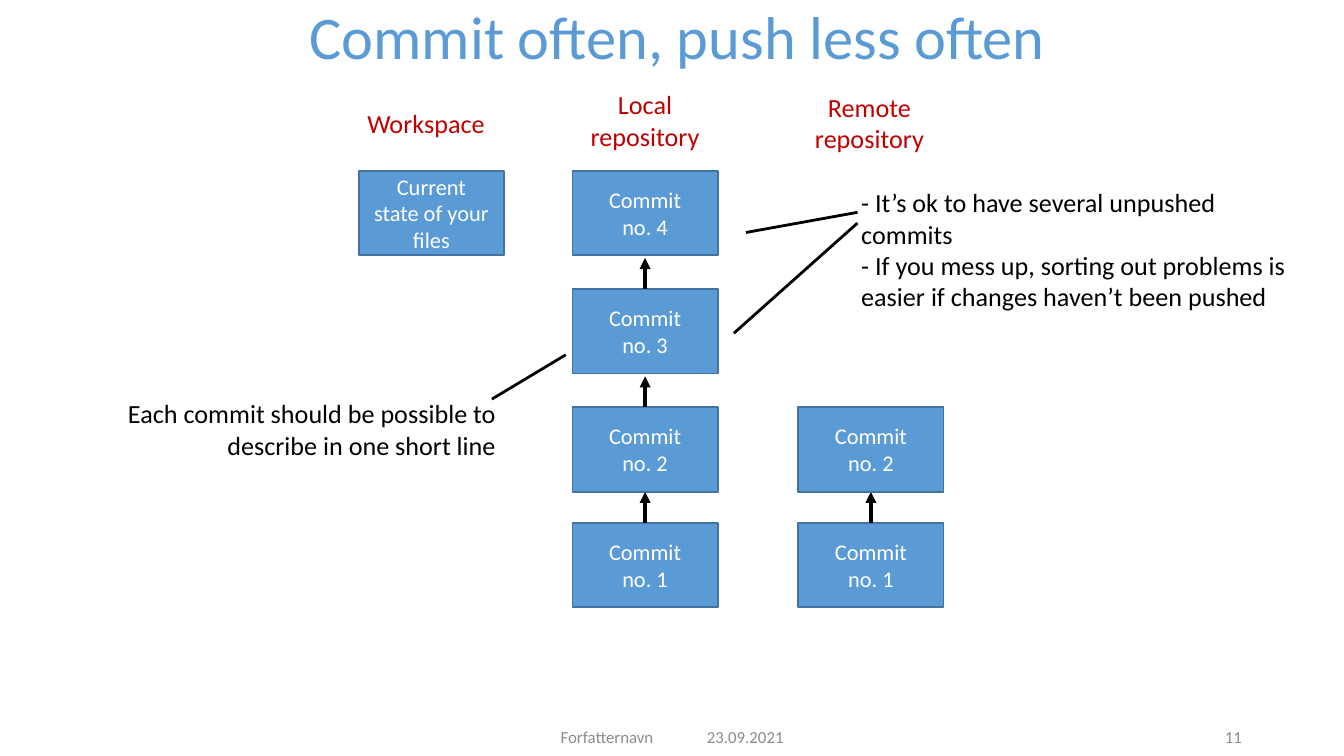
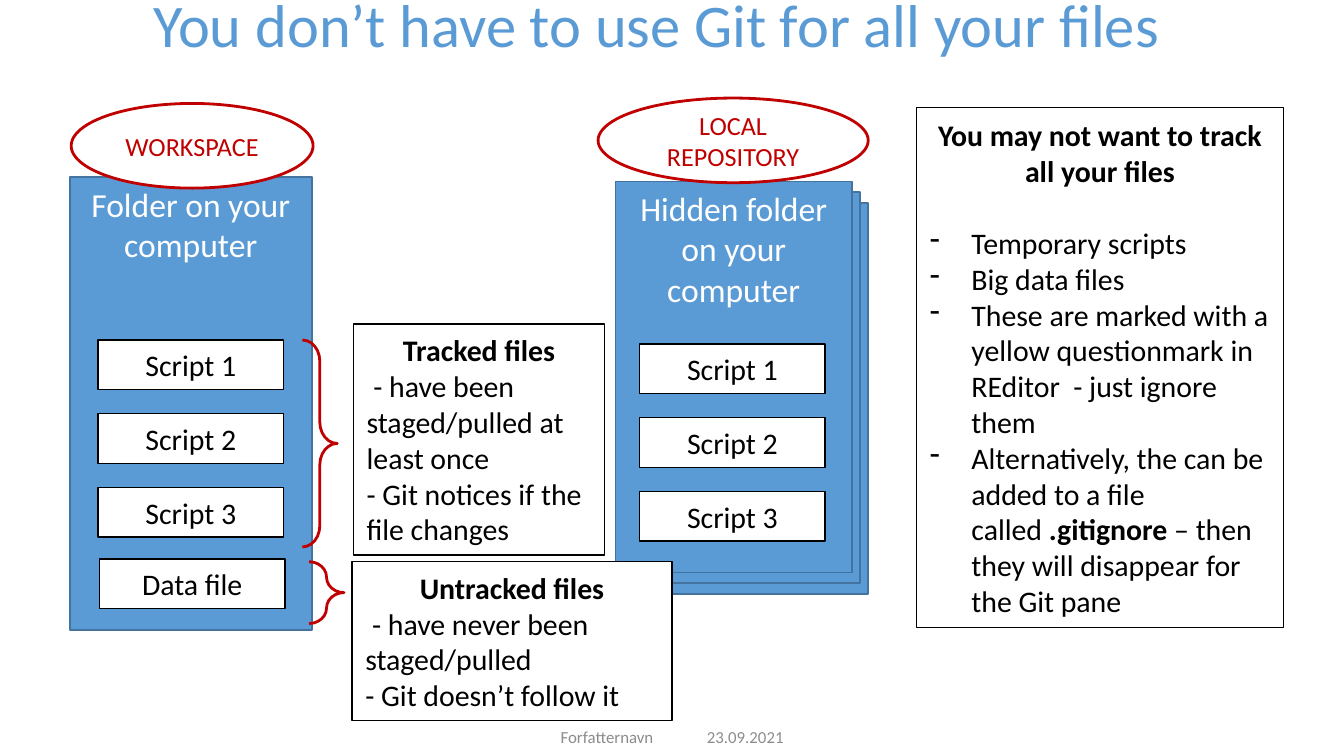
from lxml.etree import SubElement
from pptx import Presentation
from pptx.dml.color import RGBColor
from pptx.enum.shapes import MSO_CONNECTOR, MSO_SHAPE
from pptx.enum.text import MSO_ANCHOR, PP_ALIGN
from pptx.oxml.ns import qn
from pptx.util import Inches, Pt

# Shared look
FONT = "Calibri"
BLUE = RGBColor(0x5B, 0x9B, 0xD5)
EDGE = RGBColor(0x43, 0x73, 0x9E)
RED = RGBColor(0xC0, 0x00, 0x00)
GREY = RGBColor(0x8C, 0x8C, 0x8C)
BLACK = RGBColor(0, 0, 0)
WHITE = RGBColor(0xFF, 0xFF, 0xFF)
LEFT, CENTER, RIGHT = PP_ALIGN.LEFT, PP_ALIGN.CENTER, PP_ALIGN.RIGHT
TOP, MIDDLE = MSO_ANCHOR.TOP, MSO_ANCHOR.MIDDLE

# A 16:9 page on a grid of 100 columns; rows are as high as columns are wide
WIDTH = Inches(10)
HEIGHT = WIDTH * 9 // 16
UNIT = WIDTH / 100

# Tops of commits 1 to 4, oldest at the bottom
COMMIT_TOPS = [38.9, 30.3, 21.5, 12.7]
COMMIT_SIZE = (10.8, 6.3)

# File labels inside folders
FILE_SIZE, FILE_STEP = (13.8, 3.7), 5.48
SCRIPTS = ["Script 1", "Script 2", "Script 3"]


def grid(*cells):
    return [round(cell * UNIT) for cell in cells]


def style(para, size, color, align=LEFT, bold=None):
    para.alignment = align
    para.font.name = FONT
    para.font.size = Pt(size)
    para.font.color.rgb = color
    para.font.bold = bold


def write(frame, lines, size, color, align=LEFT, anchor=TOP):
    frame.word_wrap = True
    frame.vertical_anchor = anchor
    for index, line in enumerate(lines):
        para = frame.paragraphs[0] if index == 0 else frame.add_paragraph()
        para.text = line
        style(para, size, color, align)


def label(page, area, lines, size, color, align=LEFT, anchor=TOP, tight=False):
    box = page.shapes.add_textbox(*grid(*area))
    frame = box.text_frame
    if tight:
        frame.margin_left = frame.margin_right = Inches(0.07)
        frame.margin_top = frame.margin_bottom = Inches(0.04)
    write(frame, lines, size, color, align, anchor)
    return box


def outline(page, kind, area, fill, line, width):
    shape = page.shapes.add_shape(kind, *grid(*area))
    shape.shadow.inherit = False
    if fill is None:
        shape.fill.background()
    else:
        shape.fill.solid()
        shape.fill.fore_color.rgb = fill
    shape.line.color.rgb = line
    shape.line.width = Pt(width)
    return shape


def process(page, area, text="", size=12, anchor=MIDDLE):
    shape = outline(page, MSO_SHAPE.FLOWCHART_PROCESS, area, BLUE, EDGE, 1)
    if text:
        write(shape.text_frame, [text], size, WHITE, CENTER, anchor)


def badge(page, area, text):
    shape = outline(page, MSO_SHAPE.OVAL, area, WHITE, RED, 1.5)
    write(shape.text_frame, [text], 14, RED, CENTER, MIDDLE)


def card(page, area):
    return outline(page, MSO_SHAPE.RECTANGLE, area, WHITE, BLACK, 0.75)


def file_label(page, left, top, text):
    frame = card(page, (left, top, *FILE_SIZE)).text_frame
    write(frame, [text], 16, BLACK, CENTER, MIDDLE)


def scripts(page, left, top):
    for index, name in enumerate(SCRIPTS):
        file_label(page, left, top + index * FILE_STEP, name)


def note(page, area, heading, lines):
    frame = card(page, area).text_frame
    write(frame, [heading, *lines], 16, BLACK, LEFT, MIDDLE)
    style(frame.paragraphs[0], 16, BLACK, CENTER, True)
    return frame


def dash_bullet(para):
    props = para._p.get_or_add_pPr()
    props.set("marL", str(Inches(0.31)))
    props.set("indent", str(-Inches(0.31)))
    bullet = SubElement(props, qn("a:buChar"))
    bullet.set("char", "-")
    # Default run properties belong after the bullet
    props.append(props.find(qn("a:defRPr")))


def brace(page, area):
    shape = outline(page, MSO_SHAPE.RIGHT_BRACE, area, None, RED, 1.5)
    shape.adjustments[0] = 0.61
    shape.adjustments[1] = 0.5


def connect(page, start, end, width=1.5, arrow=False):
    line = page.shapes.add_connector(MSO_CONNECTOR.STRAIGHT, *grid(*start, *end))
    line.line.color.rgb = BLACK
    line.line.width = Pt(width)
    props = line._element.spPr
    if arrow:
        SubElement(props.find(qn("a:ln")), qn("a:tailEnd")).set("type", "triangle")
    SubElement(props, qn("a:effectLst"))


def commit_column(page, left, count):
    middle = left + COMMIT_SIZE[0] / 2
    for number, top in enumerate(COMMIT_TOPS[:count], 1):
        process(page, (left, top, *COMMIT_SIZE), f"Commit\nno. {number}")
        if number < count:
            connect(page, (middle, top), (middle, top - 2.3), 1.75, True)


def new_page(deck, title, title_area, number=None):
    page = deck.slides.add_slide(deck.slide_layouts[6])
    box = label(page, title_area, [title], 32.4, BLUE, CENTER, MIDDLE, True)
    box.text_frame.paragraphs[0].line_spacing = 0.9
    footers = [((51.9, 22.5), "23.09.2021", LEFT),
               ((26.9, 22.4), "Forfatternavn", RIGHT)]
    if number:
        footers.append(((85.9, 7.2), number, RIGHT))
    for (left, width), text, align in footers:
        label(page, (left, 53.3, width, 3), [text], 9, GREY, align, MIDDLE, True)
    return page


def commit_page(deck):
    page = new_page(deck, "Commit often, push less often", (0.8, 0.7, 99.2, 4.6), "11")

    # Column headings
    headings = [(25.5, 7.5, 3.4, "Workspace"),
                (41.8, 6.1, 5.7, "Local repository"),
                (58.5, 6.3, 5.7, "Remote repository")]
    for left, top, height, text in headings:
        label(page, (left, top, 12.4, height), [text], 14, RED, CENTER)

    # Workspace and the two repositories
    process(page, (26.7, COMMIT_TOPS[-1], *COMMIT_SIZE),
            "Current state of your\nfiles")
    commit_column(page, 42.6, 4)
    commit_column(page, 59.4, 2)

    # Advice with pointers
    label(page, (3.9, 29.1, 34, 5.7),
          ["Each commit should be possible to describe in one short line"],
          14, BLACK, RIGHT)
    label(page, (63.1, 13.4, 34, 10.4),
          ["- It’s ok to have several unpushed commits",
           "- If you mess up, sorting out problems is easier if changes "
           "haven’t been pushed"], 14, BLACK)
    connect(page, (36.6, 29.7), (42.1, 26.4))
    connect(page, (55.5, 17.3), (63.8, 15.8))
    connect(page, (54.6, 24.8), (63.8, 16.6))


def tracking_page(deck):
    page = new_page(deck, "You don’t have to use Git for all your files ",
                    (4.5, -0.2, 89.7, 4.6))

    # Workspace folder
    process(page, (5.2, 13.2, 18, 33.7), "Folder on your computer", 18, TOP)
    scripts(page, 7.3, 25.3)
    file_label(page, 7.4, 41.6, "Data file")
    badge(page, (5.3, 7.7, 18, 6.3), "WORKSPACE")

    # Stack of repository folders, front one last
    for layer in (2, 1, 0):
        process(page, (45.8 + 0.6 * layer, 13.5 + 0.8 * layer, 17.6, 29.1),
                "" if layer else "Hidden folder on your computer", 18, TOP)
    scripts(page, 47.6, 25.6)
    badge(page, (44.5, 7.3, 20.1, 6.3), "LOCAL REPOSITORY")

    # Tracked and untracked files
    brace(page, (22.5, 25.3, 2.6, 15.4))
    note(page, (26.3, 24.1, 18.7, 17.2), "Tracked files",
         [" - have been staged/pulled at least once",
          "- Git notices if the file changes"])
    note(page, (26.2, 41.8, 23.8, 11.8), "Untracked files",
         [" - have never been staged/pulled", "- Git doesn’t follow it"])
    brace(page, (23, 41.8, 2.6, 4.6))

    # What to leave out
    frame = note(page, (68.2, 8, 27.3, 38.7),
                 "You may not want to track all your files",
                 ["Temporary scripts", "Big data files",
                  "These are marked with a yellow questionmark in REditor  "
                  "- just ignore them",
                  "Alternatively, the can be added to a file called "])
    heading, *bullets = frame.paragraphs
    heading.space_after = Pt(19.5)
    for para in bullets:
        dash_bullet(para)
    span = bullets[-1].add_run()
    span.text = ".gitignore"
    span.font.bold = True
    bullets[-1].add_run().text = " – then they will disappear for the Git pane"


def main():
    deck = Presentation()
    deck.slide_width, deck.slide_height = WIDTH, HEIGHT
    commit_page(deck)
    tracking_page(deck)
    deck.save("out.pptx")


if __name__ == "__main__":
    main()
